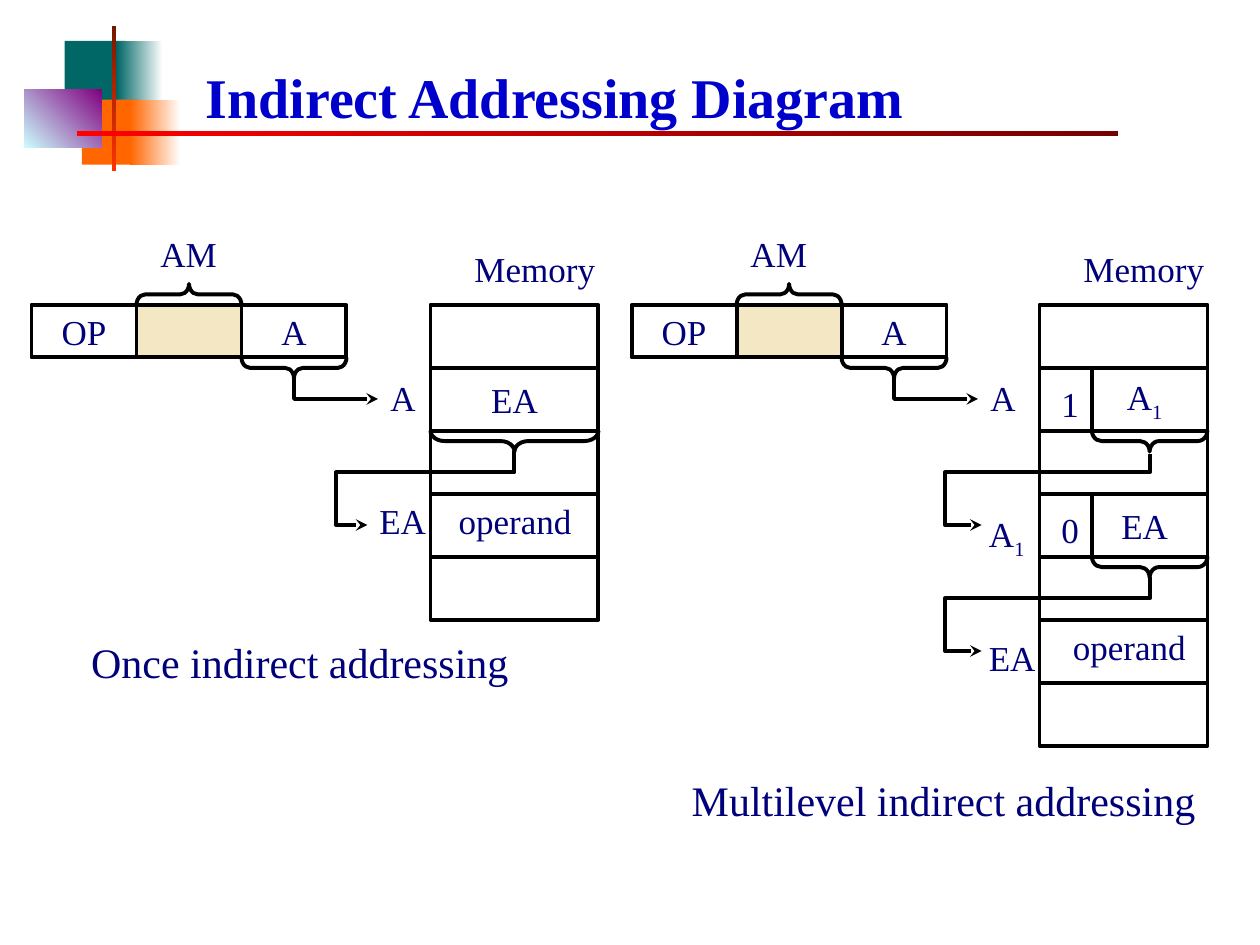
from typing import NamedTuple

from lxml.etree import SubElement
from pptx import Presentation
from pptx.dml.color import RGBColor
from pptx.enum.shapes import MSO_CONNECTOR as Connector, MSO_SHAPE as Preset
from pptx.enum.text import MSO_ANCHOR as Anchor, MSO_AUTO_SIZE as AutoSize, PP_ALIGN as Align
from pptx.oxml.ns import qn
from pptx.util import Inches, Pt

# The slide is a grid of 120 columns by 90 rows, twelve to the inch
COLUMNS, ROWS = 120, 90
UNIT = Inches(1) / 12
FONT = "Times New Roman"
INK, NAVY, BLUE, SAND = "000000", "00007A", "0000CC", "EBD189"
INSTRUCTION_TOP, FIELD_WIDTH, FIELD_HEIGHT = 29.04, 10, 5
MEMORY_TOP, MEMORY_WIDTH, ROW_HEIGHT = 29.04, 16, 6
FLAG_WIDTH, BRACE_DEPTH = 5, 2


class Band(NamedTuple):
    left: float
    top: float
    width: float
    height: float
    colors: tuple
    angle: int = 0  # clockwise


class Label(NamedTuple):
    text: str  # an underscore starts a subscript
    left: float
    top: float
    width: float
    size: int = 20


class Diagram(NamedTuple):
    instruction_left: float
    memory_left: float
    cells: tuple
    flagged_rows: tuple
    braces: tuple  # left, top, length under memory rows
    jumps: tuple  # points of each pointer arrow
    labels: tuple


BANDS = [
    Band(6.15, 3.9, 5.8, 6.2, ("006666",)),
    Band(11.1, 3.9, 4.4, 6.2, ("FFFFFF", "006666"), 180),
    Band(7.8, 9.5, 5.5, 6.2, ("FF6600",)),
    Band(12.4, 9.5, 4.8, 6.2, ("FFFFFF", "FF6600"), 180),
    Band(2.3, 8.5, 7.4, 5.6, ("800080", "CCFFFF"), 135),
    Band(10.65, 2.5, 0.4, 13.8, ("761800", "FF3300"), 90),
    Band(7.35, 12.5, 99.15, 0.45, ("FF0000", "760000")),
]

ONCE = Diagram(
    3, 41, ("", "EA", "", "", ""), (), ((41, 41, 16),),
    (((49, 43), (49, 45), (32, 45), (32, 50), (35, 50)),),
    (Label("AM", 14.1, 21.6, 7.9), Label("EA", 34.95, 47, 7),
     Label("operand", 42.5, 47, 13.3),
     Label("Once indirect addressing", 7.5, 60, 42.5, 24)),
)
MULTILEVEL = Diagram(
    60.15, 99, ("", "A_1", "", "EA", "", "", ""), (1, 3),
    ((104, 41, 11), (104, 53, 11)),
    tuple(((109.5, top), (109.5, turn), (90, turn), (90, turn + 5), (93.5, turn + 5))
          for top, turn in ((43.2, 45), (55, 57))),
    (Label("AM", 70.3, 21.6, 7.9), Label("A_1", 93, 48.2, 5.9),
     Label("EA", 93, 60, 7), Label("operand", 101, 59, 13.3),
     Label("1", 99.9, 35.8, 4.2), Label("0", 99.9, 47.8, 4.2),
     Label("Multilevel indirect addressing", 64.7, 73.15, 50.6, 24)),
)


def grid(*lengths: float) -> list:
    return [round(length * UNIT) for length in lengths]


def color(hex_value: str) -> RGBColor:
    return RGBColor.from_string(hex_value)


def outline(line) -> None:
    line.color.rgb = color(INK)
    line.width = Pt(2.25)


def write(frame, text: str, size: int = 20, ink: str = NAVY, bold: bool = False) -> None:
    frame.word_wrap = False
    para = frame.paragraphs[0]
    main, _, subscript = text.partition("_")
    para.text = main
    if subscript:
        span = para.add_run()
        span.text = subscript
        span.font._element.set("baseline", "-25000")
    for span in para.runs:
        span.font.name, span.font.size, span.font.bold = FONT, Pt(size), bold
        span.font.color.rgb = color(ink)


def draw_band(shapes, band: Band) -> None:
    box = shapes.add_shape(Preset.RECTANGLE, *grid(*band[:4]))
    box.shadow.inherit = False
    box.line.fill.background()
    if len(band.colors) == 1:
        box.fill.solid()
        box.fill.fore_color.rgb = color(band.colors[0])
        return
    box.fill.gradient()
    box.fill.gradient_angle = -band.angle % 360
    for stop, hex_value in zip(box.fill.gradient_stops, band.colors):
        stop.color.rgb = color(hex_value)


def draw_cell(shapes, left: float, top: float, width: float, height: float,
              text: str = "", indent: float = 0, shaded: bool = False) -> None:
    box = shapes.add_shape(Preset.RECTANGLE, *grid(left, top, width, height))
    box.shadow.inherit = False
    if shaded:
        box.fill.solid()
        box.fill.fore_color.rgb = color(SAND)
        tint = box._element.spPr.find(".//" + qn("a:srgbClr"))
        SubElement(tint, qn("a:alpha"), val="50000")
    else:
        box.fill.background()
    outline(box.line)
    if text:
        frame = box.text_frame
        frame.vertical_anchor = Anchor.MIDDLE
        frame.margin_left = Inches(0.1) + grid(indent)[0]
        write(frame, text)
        frame.paragraphs[0].alignment = Align.CENTER


def draw_brace(shapes, left: float, top: float, length: float, turn: int = 270) -> None:
    # A tall left brace, turned about its centre to lie flat
    brace = shapes.add_shape(Preset.LEFT_BRACE, *grid(
        left + (length - BRACE_DEPTH) / 2, top + (BRACE_DEPTH - length) / 2,
        BRACE_DEPTH, length))
    brace.rotation = turn
    brace.adjustments[0] = length / 12 / BRACE_DEPTH
    brace.shadow.inherit = False
    brace.fill.background()
    outline(brace.line)


def draw_jump(shapes, points: tuple) -> None:
    start, *rest = [grid(*point) for point in points]
    builder = shapes.build_freeform(*start)
    builder.add_line_segments(rest, close=False)
    jump = builder.convert_to_shape()
    jump.shadow.inherit = False
    jump.fill.background()
    outline(jump.line)
    SubElement(jump.line._get_or_add_ln(), qn("a:tailEnd"), type="stealth")


def draw_label(shapes, label: Label) -> None:
    height = 5.3 if label.size == 20 else 6
    box = shapes.add_textbox(*grid(label.left, label.top, label.width, height))
    write(box.text_frame, label.text, label.size)
    box.text_frame.auto_size = AutoSize.SHAPE_TO_FIT_TEXT


def draw_diagram(shapes, diagram: Diagram) -> None:
    # Instruction word with its braces and the first pointer
    left, memory_left = diagram.instruction_left, diagram.memory_left
    for index, text in enumerate(("OP", "", "A")):
        draw_cell(shapes, left + index * FIELD_WIDTH, INSTRUCTION_TOP,
                  FIELD_WIDTH, FIELD_HEIGHT, text, shaded=index == 1)
    draw_brace(shapes, left + FIELD_WIDTH, INSTRUCTION_TOP - BRACE_DEPTH, FIELD_WIDTH, 90)
    draw_brace(shapes, left + 2 * FIELD_WIDTH, INSTRUCTION_TOP + FIELD_HEIGHT, FIELD_WIDTH)
    draw_jump(shapes, ((left + 25, 36), (left + 25, 38), (left + 33, 38)))

    # Memory rows, some split by an indirection flag
    for row, text in enumerate(diagram.cells):
        top = MEMORY_TOP + row * ROW_HEIGHT
        flagged = row in diagram.flagged_rows
        draw_cell(shapes, memory_left, top, MEMORY_WIDTH, ROW_HEIGHT, text,
                  indent=4 if flagged else 0)
        if flagged:
            x = memory_left + FLAG_WIDTH
            divider = shapes.add_connector(Connector.STRAIGHT,
                                           *grid(x, top, x, top + ROW_HEIGHT))
            outline(divider.line)
            SubElement(divider._element.spPr, qn("a:effectLst"))

    # Pointers between memory rows, then the captions
    for brace in diagram.braces:
        draw_brace(shapes, *brace)
    for jump in diagram.jumps:
        draw_jump(shapes, jump)
    shared = (Label("A", left + 33, 35.3, 4.9), Label("Memory", memory_left + 3, 23, 14))
    for label in shared + diagram.labels:
        draw_label(shapes, label)


def main() -> None:
    deck = Presentation()
    deck.slide_width, deck.slide_height = grid(COLUMNS, ROWS)
    shapes = deck.slides.add_slide(deck.slide_layouts[6]).shapes
    for band in BANDS:
        draw_band(shapes, band)
    title = shapes.add_textbox(*grid(18.4, 3.4, 74.8, 9.5))
    title.text_frame.vertical_anchor = Anchor.BOTTOM
    write(title.text_frame, "Indirect Addressing Diagram", 32, BLUE, bold=True)
    title.text_frame.word_wrap = True
    for diagram in (ONCE, MULTILEVEL):
        draw_diagram(shapes, diagram)
    deck.save("out.pptx")


if __name__ == "__main__":
    main()
